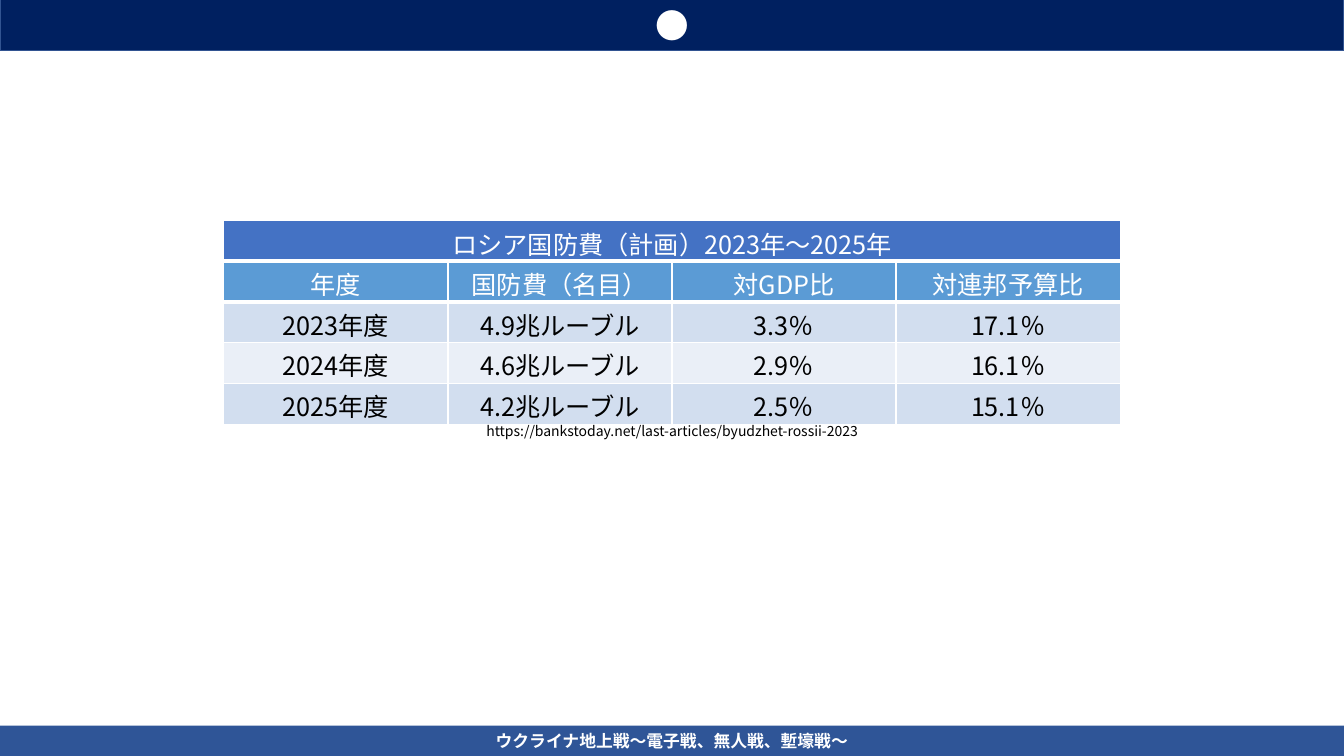
from lxml import etree
from pptx import Presentation
from pptx.dml.color import RGBColor
from pptx.enum.shapes import MSO_SHAPE as SHAPE
from pptx.enum.text import MSO_ANCHOR as ANCHOR, PP_ALIGN as ALIGN
from pptx.oxml.ns import qn
from pptx.util import Inches, Pt

FONT = "Noto Sans CJK JP"
WHITE = "FFFFFF"
BLACK = "000000"
SLIDE_W, SLIDE_H = 13.33, 7.5
TABLE_X, TABLE_W = 2.22, 8.89
TITLE_Y, TITLE_H = 2.19, 0.4
BUDGET_H = 1.62

BUDGET = [
    ("年度", "国防費（名目）", "対GDP比", "対連邦予算比"),
    ("2023年度", "4.9兆ルーブル", "3.3％", "17.1％"),
    ("2024年度", "4.6兆ルーブル", "2.9％", "16.1％"),
    ("2025年度", "4.2兆ルーブル", "2.5％", "15.1％"),
]


def rgb(color):
    return RGBColor.from_string(color)


def write(tf, text, size, color, bold=False):
    """Put one centred run into the frame's first paragraph."""
    tf.word_wrap = True
    p = tf.paragraphs[0]
    p.alignment = ALIGN.CENTER
    r = p.add_run()
    r.text = text
    r.font.size = Pt(size)
    r.font.bold = bold
    r.font.color.rgb = rgb(color)
    r.font.name = FONT
    etree.SubElement(r.font._element, qn("a:ea")).set("typeface", FONT)


def add_band(slide, box, fill, text, size, anchor, line=None):
    s = slide.shapes.add_shape(SHAPE.RECTANGLE, *map(Inches, box))
    s.shadow.inherit = False
    s.fill.solid()
    s.fill.fore_color.rgb = rgb(fill)
    if line:
        s.line.color.rgb = rgb(line)
        s.line.width = Pt(1)
    else:
        s.line.fill.background()
    s.text_frame.vertical_anchor = anchor
    write(s.text_frame, text, size, WHITE, bold=True)


def set_borders(cell, bottom):
    """Draw white cell edges, 1 pt except for the given bottom width."""
    tc_pr = cell._tc.get_or_add_tcPr()
    widths = {"lnL": 1, "lnR": 1, "lnT": 1, "lnB": bottom}
    for i, (tag, width) in enumerate(widths.items()):
        ln = etree.Element(qn(f"a:{tag}"), w=str(Pt(width)))
        fill = etree.SubElement(ln, qn("a:solidFill"))
        etree.SubElement(fill, qn("a:srgbClr"), val=WHITE)
        tc_pr.insert(i, ln)


def add_grid(slide, box, rows, header_fill, band_fills=()):
    """Add a table with a white-on-colour header and banded body rows."""
    n_rows, n_cols = len(rows), len(rows[0])
    frame = slide.shapes.add_table(n_rows, n_cols, *map(Inches, box))
    table = frame.table
    for row in table.rows:
        row.height = Inches(box[3] / n_rows)
    for i, values in enumerate(rows):
        header = i == 0
        for j, text in enumerate(values):
            cell = table.cell(i, j)
            cell.margin_top, cell.margin_bottom = Inches(0.04), 0
            cell.fill.solid()
            fill = header_fill if header else band_fills[(i - 1) % len(band_fills)]
            cell.fill.fore_color.rgb = rgb(fill)
            set_borders(cell, bottom=3 if header else 1)
            write(cell.text_frame, text, 18, WHITE if header else BLACK)


def add_source(slide, box, text):
    s = slide.shapes.add_textbox(*map(Inches, box))
    write(s.text_frame, text, 10, BLACK)


def main():
    prs = Presentation()
    prs.slide_width, prs.slide_height = Inches(SLIDE_W), Inches(SLIDE_H)
    slide = prs.slides.add_slide(prs.slide_layouts[6])
    add_band(slide, (0, 7.2, SLIDE_W, 0.3), "2F5597",
             "ウクライナ地上戦～電子戦、無人戦、塹壕戦～", 12, ANCHOR.TOP)
    add_band(slide, (0, -0.01, SLIDE_W, 0.51), "002060",
             "●", 24, ANCHOR.MIDDLE, line="325491")
    add_grid(slide, (TABLE_X, TITLE_Y + TITLE_H, TABLE_W, BUDGET_H),
             BUDGET, "5B9BD5", ("D2DEEF", "EAEFF7"))
    add_grid(slide, (TABLE_X, TITLE_Y, TABLE_W, TITLE_H),
             [("ロシア国防費（計画）2023年～2025年",)], "4472C4")
    add_source(slide, (4.2, 4.14, 4.93, 0.27),
               "https://bankstoday.net/last-articles/byudzhet-rossii-2023")
    prs.save("out.pptx")


if __name__ == "__main__":
    main()
